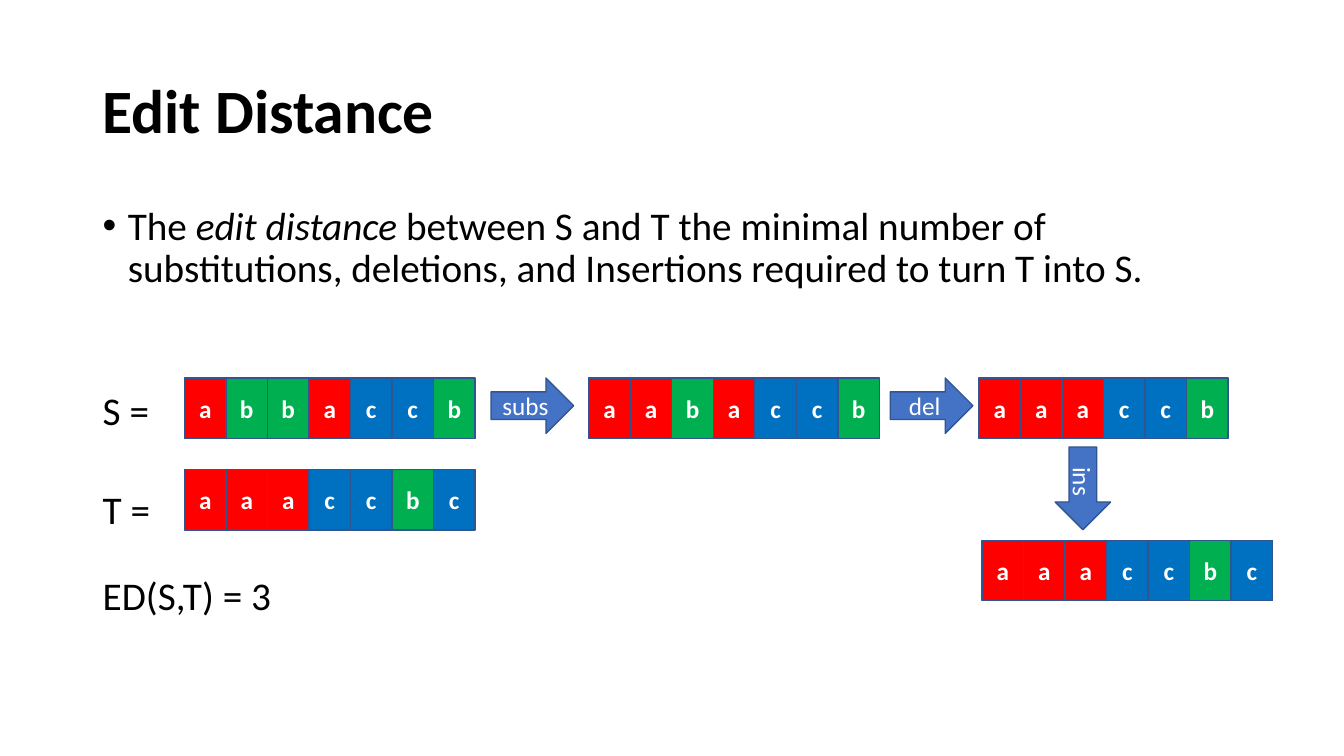
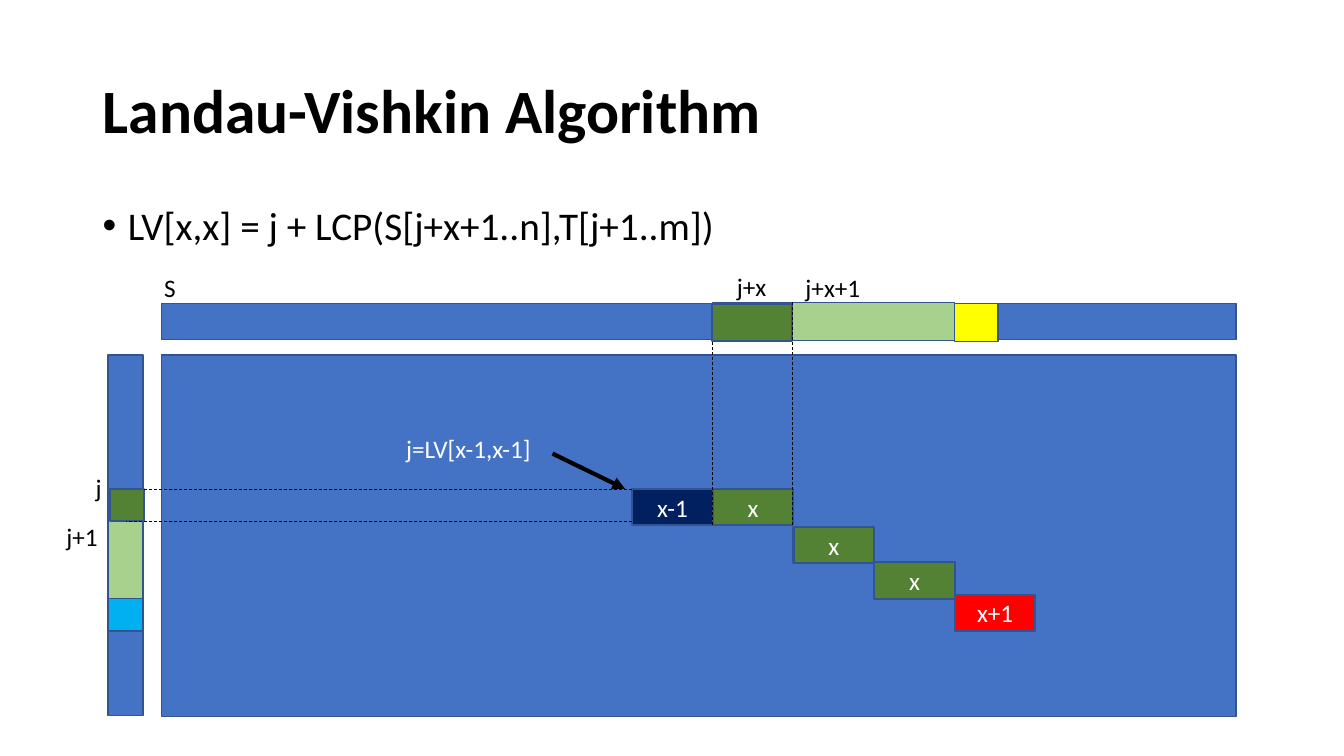
from pptx import Presentation
from pptx.dml.color import RGBColor
from pptx.enum import dml, shapes, text
from pptx.oxml.ns import qn
from pptx.util import Inches, Pt
from lxml import etree

FONT = "Calibri"
COLORS = {
    "black": "000000", "white": "FFFFFF", "blue": "4472C4", "outline": "325491",
    "a": "FF0000", "b": "00B050", "c": "0070C0",
    "navy": "002060", "green": "548235", "light": "A9D18E",
    "yellow": "FFFF00", "cyan": "00B0F0", "red": "FF0000",
}
BULLET = "•"
RECT = shapes.MSO_SHAPE.RECTANGLE
ARROW = shapes.MSO_SHAPE.RIGHT_ARROW


def write(frame, paragraphs, size, color="black", bold=False, align=None, wrap=True):
    frame.word_wrap = wrap
    for index, (before, runs) in enumerate(paragraphs):
        paragraph = frame.add_paragraph() if index else frame.paragraphs[0]
        paragraph.alignment = align
        if size > 18:
            paragraph.line_spacing = 0.9
            paragraph.space_before = Pt(before)
        if runs[0] == BULLET:
            runs = runs[1:]
            props = paragraph._p.get_or_add_pPr()
            props.set("marL", str(Inches(0.25)))
            props.set("indent", str(-Inches(0.25)))
            etree.SubElement(props, qn("a:buFont")).set("typeface", "Arial")
            etree.SubElement(props, qn("a:buChar")).set("char", BULLET)
        for words, italic in runs:
            run = paragraph.add_run()
            run.text = words
            run.font.name = FONT
            run.font.size = Pt(size)
            run.font.bold = bold
            run.font.italic = italic
            run.font.color.rgb = RGBColor.from_string(COLORS[color])


def add_block(slide, left, top, width, height, fill, label="", weight=1, bold=False, kind=RECT):
    block = slide.shapes.add_shape(kind, Inches(left), Inches(top), Inches(width), Inches(height))
    block.shadow.inherit = False
    block.fill.solid()
    block.fill.fore_color.rgb = RGBColor.from_string(COLORS[fill])
    block.line.color.rgb = RGBColor.from_string(COLORS["outline"])
    block.line.width = Pt(weight)
    if label:
        write(block.text_frame, [(0, [(label, False)])], 18, "white", bold, text.PP_ALIGN.CENTER)
    return block


deck = Presentation()
deck.slide_width = Inches(13.33)
deck.slide_height = Inches(7.5)

contents = [
    ("Edit Distance", [
        (10, [BULLET, ("The ", False), ("edit distance ", True),
              ("between S and T the minimal number of substitutions, deletions, "
               "and Insertions required to turn T into S.", False)]),
        (71.5, [("S =", False)]),
        (41, [("T =", False)]),
        (31, [("ED(S,T) = 3", False)]),
    ]),
    ("Landau-Vishkin Algorithm", [
        (10, [BULLET, ("LV[x,x] = j + LCP(S[j+x+1..n],T[j+1..m])", False)]),
    ]),
]
slides = []
for heading, body in contents:
    slide = deck.slides.add_slide(deck.slide_layouts[6])
    title = slide.shapes.add_textbox(Inches(0.92), Inches(0.4), Inches(11.5), Inches(1.45))
    title.text_frame.vertical_anchor = text.MSO_ANCHOR.MIDDLE
    write(title.text_frame, [(0, [(heading, False)])], 44, bold=True)
    statement = slide.shapes.add_textbox(Inches(0.92), Inches(2), Inches(11.5), Inches(4.76))
    write(statement.text_frame, body, 28)
    slides.append(slide)
distance, algorithm = slides

pitch = 2.47 / 6
for left, top, letters in [
    (1.83, 3.75, "abbaccb"),
    (1.83, 4.66, "aaaccbc"),
    (5.84, 3.75, "aabaccb"),
    (9.71, 3.75, "aaaccb"),
    (9.74, 5.36, "aaaccbc"),
]:
    for index, letter in enumerate(letters):
        add_block(distance, left + index * pitch, top, pitch, 0.6, letter, letter, bold=True)

for left, top, edit, turn in [
    (4.87, 3.75, "subs", 0), (8.83, 3.75, "del", 0), (10.33, 4.57, "ins", 90),
]:
    add_block(distance, left, top, 0.82, 0.55, "blue", edit, kind=ARROW).rotation = turn

for left, top, width, height, fill, weight in [
    (1.6, 3.52, 10.66, 3.59, "blue", 1),
    (1.6, 3.01, 10.66, 0.36, "blue", 1),
    (7.07, 3, 2.4, 0.38, "light", 1),
    (9.47, 3.01, 0.43, 0.38, "yellow", 1),
    (7.06, 3.02, 0.8, 0.36, "green", 1.5),
    (1.07, 3.52, 0.35, 3.58, "blue", 1),
    (1.07, 4.85, 0.35, 1.09, "light", 1),
    (1.07, 5.94, 0.35, 0.32, "cyan", 1),
    (1.09, 4.85, 0.34, 0.32, "green", 1.5),
]:
    add_block(algorithm, left, top, width, height, fill, weight=weight)

diagonal = [
    (4.85, "navy", "x-1"), (4.85, "green", "x"), (5.23, "green", "x"),
    (5.58, "green", "x"), (5.9, "red", "x+1"),
]
for index, (top, fill, label) in enumerate(diagonal):
    add_block(algorithm, 6.27 + index * 0.8, top, 0.8, 0.36, fill, label, 1.5)

for left, top, width, words, color in [
    (1.53, 2.65, 0.32, "S", "black"),
    (7.21, 2.64, 0.5, "j+x", "black"),
    (7.89, 2.65, 0.75, "j+x+1", "black"),
    (0.85, 4.64, 0.26, "j", "black"),
    (0.56, 5.12, 0.52, "j+1", "black"),
    (3.93, 4.25, 1.47, "j=LV[x-1,x-1]", "white"),
]:
    caption = algorithm.shapes.add_textbox(Inches(left), Inches(top), Inches(width), Inches(0.4))
    write(caption.text_frame, [(0, [(words, False)])], 18, color, wrap=False)

for x1, y1, x2, y2, pointer in [
    (5.48, 4.5, 6.2, 4.85, True),
    (6.27, 4.85, 1.43, 4.85, False),
    (6.27, 5.17, 1.25, 5.17, False),
    (7.07, 5.21, 7.07, 3.38, False),
    (7.86, 5.21, 7.86, 3, False),
]:
    guide = algorithm.shapes.add_connector(
        shapes.MSO_CONNECTOR.STRAIGHT, Inches(x1), Inches(y1), Inches(x2), Inches(y2))
    guide.line.color.rgb = RGBColor.from_string(COLORS["black"])
    guide.line.width = Pt(3 if pointer else 0.5)
    if pointer:
        etree.SubElement(guide.line._get_or_add_ln(), qn("a:tailEnd")).set("type", "triangle")
    else:
        guide.line.dash_style = dml.MSO_LINE.DASH
    etree.SubElement(guide._element.spPr, qn("a:effectLst"))

deck.save("out.pptx")
